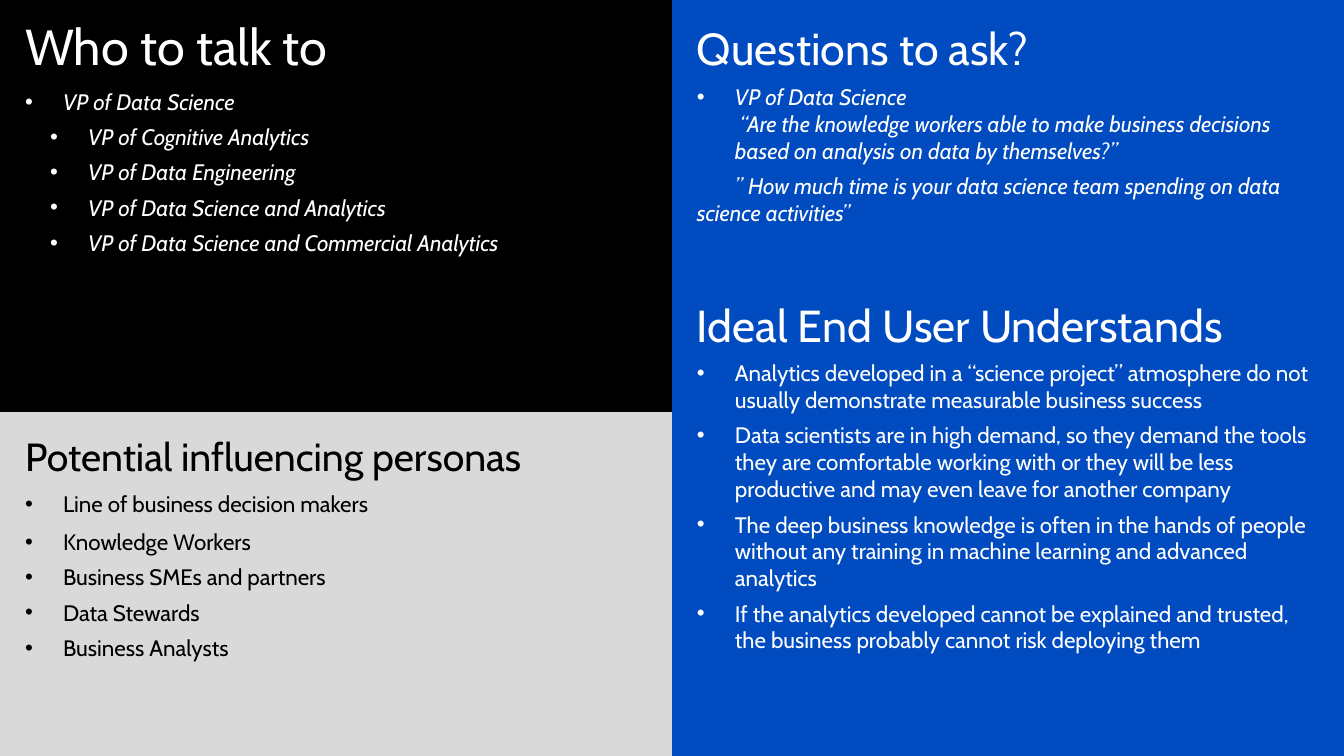
from copy import deepcopy

from lxml import etree
from pptx import Presentation
from pptx import util as u
from pptx.dml.color import RGBColor
from pptx.enum import shapes, text
from pptx.oxml import ns

PX = 12192000 // 1344 + 3 / 7  # EMU per px
COLOURS = {"background": "171717", "blue": "004BBF", "black": "000000",
           "grey": "D9D9D9", "white": "FFFFFF"}
FONT = "Cabin"
HANG = 38
SUB_INDENT = 25
HALF = 672


def px(length):
    return u.Emu(round(length * PX))


class Panels:
    """Holds the slide and draws its coloured panels and their text."""

    def __init__(self, slide):
        self.slide = slide
        self.fill(slide.background.fill, "background")

    def fill(self, target, colour):
        target.solid()
        target.fore_color.rgb = RGBColor.from_string(COLOURS[colour])

    def panel(self, left, top, width, height, colour, inset_top=21):
        area = self.slide.shapes.add_shape(
            shapes.MSO_SHAPE.RECTANGLE, px(left), px(top), px(width), px(height))
        area.shadow.inherit = False
        self.fill(area.fill, colour)
        area.line.fill.background()
        frame = area.text_frame
        frame.word_wrap = True
        frame.vertical_anchor = text.MSO_ANCHOR.TOP
        frame.margin_left = frame.margin_right = frame.margin_bottom = px(25)
        frame.margin_top = px(inset_top)
        return frame

    def paragraph(self, frame, words, size=16, colour="white", before=6,
                  italic=False, margin=0, indent=0):
        """Fill the first empty paragraph of the frame, or add one."""
        first = frame.paragraphs[0]
        para = frame.add_paragraph() if first.text else first
        para.text = words
        para.alignment = text.PP_ALIGN.LEFT
        para.space_before = u.Pt(before)
        props = para._p.get_or_add_pPr()
        props.set("marL", str(px(margin)))
        props.set("indent", str(px(indent)))
        for run in para.runs:
            run.font.name = FONT
            run.font.size = u.Pt(size)
            run.font.italic = italic
            self.fill(run.font.fill, colour)
        for line_break in para._p.findall(ns.qn("a:br")):
            line_break.append(deepcopy(para.runs[0]._r.rPr))
        return para

    def bullet(self, frame, words, level=0, **style):
        para = self.paragraph(frame, words, margin=HANG + SUB_INDENT * level,
                              indent=-HANG, **style)
        para.level = level
        props = para._p.get_or_add_pPr()
        etree.SubElement(props, ns.qn("a:buFont"), typeface="Arial")
        etree.SubElement(props, ns.qn("a:buChar"), char="•")


def main():
    deck = Presentation()
    deck.slide_width, deck.slide_height = px(1344), px(756)
    panels = Panels(deck.slides.add_slide(deck.slide_layouts[6]))

    questions = panels.panel(HALF, 0, HALF, 756, "blue")
    panels.paragraph(questions, "Questions to ask?", size=32, before=14.7)
    panels.bullet(questions, "VP of Data Science\n “Are the knowledge workers able to make "
                  "business decisions based on analysis on data by themselves?”", italic=True)
    panels.paragraph(questions, "” How much time is your data science team spending on data "
                     "science activities”", italic=True, indent=HANG)
    panels.paragraph(questions, "Ideal End User Understands", size=32, before=51)
    for insight in (
        "Analytics developed in a “science project” atmosphere do not usually demonstrate "
        "measurable business success",
        "Data scientists are in high demand, so they demand the tools they are comfortable "
        "working with or they will be less productive and may even leave for another company",
        "The deep business knowledge is often in the hands of people without any training in "
        "machine learning and advanced analytics",
        "If the analytics developed cannot be explained and trusted, the business probably "
        "cannot risk deploying them",
    ):
        panels.bullet(questions, insight)

    title = panels.panel(0, 0, HALF, 100, "black", inset_top=22)
    panels.paragraph(title, "Who to talk to", size=36, before=0).line_spacing = 0.9

    personas = panels.panel(0, 411, HALF, 345, "grey")
    panels.paragraph(personas, "Potential influencing personas", size=28,
                     colour="black", before=8)
    for persona, before in (("Line of business decision makers", 8),
                            ("Knowledge Workers", 8),
                            ("Business SMEs and partners", 6),
                            ("Data Stewards", 6),
                            ("Business Analysts", 6)):
        panels.bullet(personas, persona, colour="black", before=before)

    panels.panel(0, 100, HALF, 312, "black")
    contacts = panels.panel(0, 67, HALF, 345, "black")
    for role, level in (("VP of Data Science", 0),
                        ("VP of Cognitive Analytics", 1),
                        ("VP of Data Engineering", 1),
                        ("VP of Data Science and Analytics", 1),
                        ("VP of Data Science and Commercial Analytics", 1)):
        panels.bullet(contacts, role, level, italic=True)

    deck.save("out.pptx")


if __name__ == "__main__":
    main()
